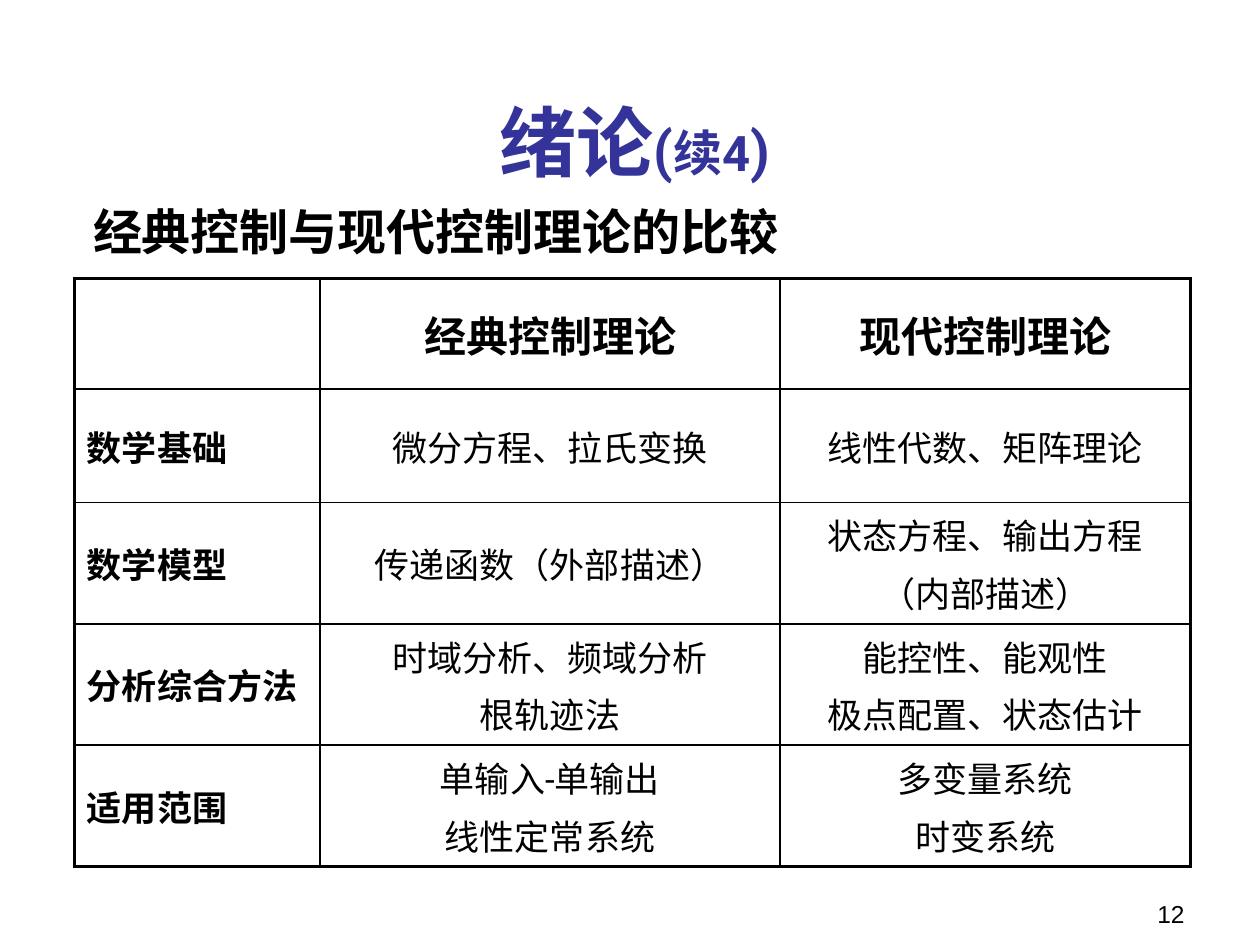
from lxml import etree
from pptx import Presentation
from pptx import util as u
from pptx.dml.color import RGBColor
from pptx.enum import text
from pptx.oxml import ns

BLACK = RGBColor(0x00, 0x00, 0x00)
INDIGO = RGBColor(0x33, 0x33, 0x99)
CJK = "Noto Sans CJK SC"
LATIN = "Roboto"
CENTER = text.PP_ALIGN.CENTER

COLUMN_WIDTHS = (1.95, 3.65, 3.26)
ROW_HEIGHTS = (0.88, 0.9, 0.9, 0.9, 0.9)
OUTER, HEADER, INNER = 2.25, 1.5, 1
COMPARISON = (
    ("", "经典控制理论", "现代控制理论"),
    ("数学基础", "微分方程、拉氏变换", "线性代数、矩阵理论"),
    ("数学模型", "传递函数（外部描述）", "状态方程、输出方程\n（内部描述）"),
    ("分析综合方法", "时域分析、频域分析\n根轨迹法", "能控性、能观性\n极点配置、状态估计"),
    ("适用范围", "单输入-单输出\n线性定常系统", "多变量系统\n时变系统"),
)


def add_run(paragraph, words, size, color=BLACK, bold=False, latin=LATIN):
    run = paragraph.add_run()
    run.text = words
    font = run.font
    font.size, font.bold, font.name = u.Pt(size), bold, latin
    font.color.rgb = color
    east_asian = etree.SubElement(run._r.get_or_add_rPr(), ns.qn("a:ea"))
    east_asian.set("typeface", CJK)


def place(shape, left, top, width, height):
    shape.left, shape.top = u.Inches(left), u.Inches(top)
    shape.width, shape.height = u.Inches(width), u.Inches(height)


def add_title(slide):
    title = slide.shapes.title
    place(title, 0.78, 0.28, 8.52, 1.25)
    title.text_frame.vertical_anchor = text.MSO_ANCHOR.BOTTOM
    title.text_frame.auto_size = text.MSO_AUTO_SIZE.NONE
    paragraph = title.text_frame.paragraphs[0]
    paragraph.alignment = CENTER
    for words, size in (("绪论", 44), ("(", 32), ("续4", 28), (")", 32)):
        add_run(paragraph, words, size, INDIGO, True)


def add_label(slide, box, words, size, align, anchor, **style):
    label = slide.shapes.add_textbox(*(u.Inches(length) for length in box))
    frame = label.text_frame
    frame.word_wrap = True
    frame.vertical_anchor = anchor
    frame.paragraphs[0].alignment = align
    add_run(frame.paragraphs[0], words, size, **style)


def set_borders(cell, **widths):
    """Draw black cell sides; keys are L, R, T, B in schema order."""
    properties = cell._tc.get_or_add_tcPr()
    for position, (side, width) in enumerate(widths.items()):
        line = etree.Element(ns.qn(f"a:ln{side}"), w=str(u.Pt(width)))
        fill = etree.SubElement(line, ns.qn("a:solidFill"))
        etree.SubElement(fill, ns.qn("a:srgbClr"), val=str(BLACK))
        properties.insert(position, line)


def fill_cell(cell, words, size, bold, align):
    cell.fill.background()
    cell.vertical_anchor = text.MSO_ANCHOR.MIDDLE
    if not words:
        return
    frame = cell.text_frame
    for index, line in enumerate(words.split("\n")):
        paragraph = frame.add_paragraph() if index else frame.paragraphs[0]
        paragraph.alignment = align
        paragraph.space_before = u.Pt(0.2 * size)
        add_run(paragraph, line, size, bold=bold)


def add_comparison(slide):
    rows, columns = len(ROW_HEIGHTS), len(COLUMN_WIDTHS)
    table = slide.shapes.add_table(
        rows, columns, u.Inches(0.59), u.Inches(2.21),
        u.Inches(sum(COLUMN_WIDTHS)), u.Inches(sum(ROW_HEIGHTS))).table
    table.first_row = table.horz_banding = False
    for column, width in zip(table.columns, COLUMN_WIDTHS):
        column.width = u.Inches(width)
    for row, height in zip(table.rows, ROW_HEIGHTS):
        row.height = u.Inches(height)

    # Rules from edge to edge: frame, header rule, then thin inner rules.
    across = [OUTER, HEADER] + [INNER] * (rows - 2) + [OUTER]
    down = [OUTER, HEADER] + [INNER] * (columns - 2) + [OUTER]
    for r, row in enumerate(COMPARISON):
        for c, words in enumerate(row):
            cell = table.cell(r, c)
            fill_cell(cell, words, 20 if r else 24, r == 0 or c == 0,
                      CENTER if c else text.PP_ALIGN.LEFT)
            set_borders(cell, L=down[c], R=down[c + 1],
                        T=across[r], B=across[r + 1])


def main():
    deck = Presentation()
    deck.slide_width, deck.slide_height = u.Inches(10), u.Inches(7.5)
    slide = deck.slides.add_slide(deck.slide_layouts.get_by_name("Title Only"))
    add_comparison(slide)
    add_label(slide, (0.64, 1.55, 8.92, 0.57), "经典控制与现代控制理论的比较", 28,
              text.PP_ALIGN.LEFT, text.MSO_ANCHOR.TOP, bold=True, latin=CJK)
    add_title(slide)
    add_label(slide, (7.42, 6.92, 2.08, 0.5), "12", 14,
              text.PP_ALIGN.RIGHT, text.MSO_ANCHOR.BOTTOM, latin="Arial")
    deck.save("out.pptx")


if __name__ == "__main__":
    main()
